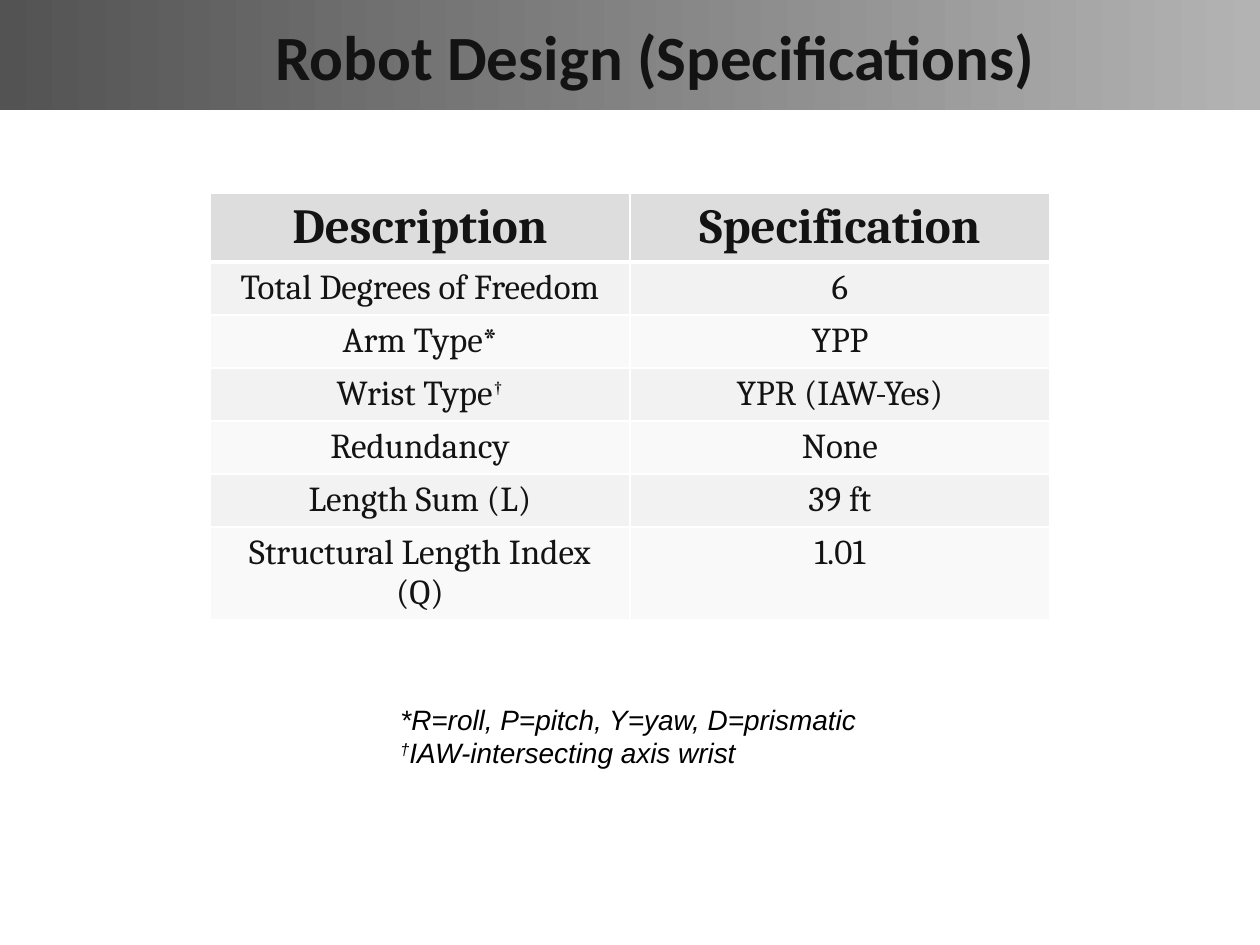
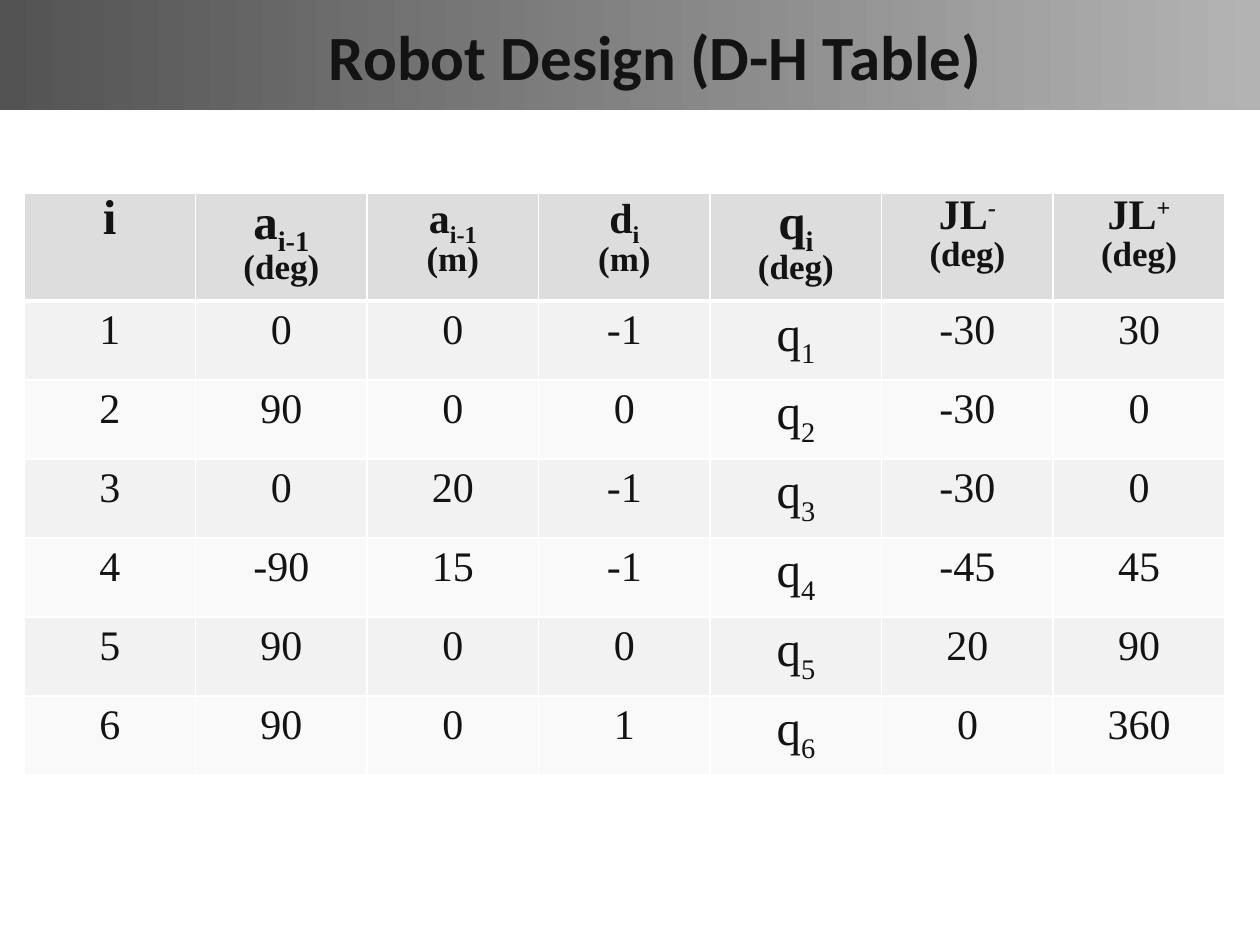
import pptx
import pptx.util
import pptx.dml.color
import pptx.enum.text
import pptx.oxml
import pptx.oxml.ns

EMU_PER_PX = 914400 / 126
COLOURS = {
    "band_start": "535353",
    "band_end": "B3B3B3",
    "ink": "131313",
    "note": "000000",
    "header": "DDDDDD",
    "odd_row": "F2F2F2",
    "even_row": "F9F9F9",
    "grid": "FFFFFF",
}
BASELINES = {"^": 30000, "_": -25000}
CENTER = pptx.enum.text.PP_ALIGN.CENTER


def px(length):
    return pptx.util.Emu(round(length * EMU_PER_PX))


def rgb(name):
    return pptx.dml.color.RGBColor.from_string(COLOURS[name])


class Deck:
    def __init__(self):
        self.presentation = pptx.Presentation()
        self.presentation.slide_width = px(1260)
        self.presentation.slide_height = px(945)
        self.slide = None

    def new_slide(self, heading):
        """Start a slide whose title fills the gradient band."""
        layout = self.presentation.slide_layouts[5]
        self.slide = self.presentation.slides.add_slide(layout)
        title = self.slide.shapes.title
        title.left, title.top, title.width, title.height = px(0), px(0), px(1260), px(110)
        title.fill.gradient()
        title.fill.gradient_angle = 0
        for stop, name in zip(title.fill.gradient_stops, ("band_start", "band_end")):
            stop.color.rgb = rgb(name)
        frame = title.text_frame
        frame.auto_size = pptx.enum.text.MSO_AUTO_SIZE.NONE
        frame.vertical_anchor = pptx.enum.text.MSO_ANCHOR.MIDDLE
        frame.margin_left = px(63)
        self.line(frame.paragraphs[0], heading, "Calibri", 36, bold=True, align=CENTER)

    def line(self, paragraph, text, font, size, colour="ink", bold=False,
             italic=False, align=None):
        """Fill one paragraph; ^ raises and _ lowers what follows it."""
        mark = next((m for m in BASELINES if m in text), None)
        base, _, script = text.partition(mark) if mark else (text, "", "")
        if base:
            paragraph.text = base
        if script:
            # A closing mark ends the raised or lowered part
            script, _, rest = script.partition(mark)
            run = paragraph.add_run()
            run.text = script
            run.font._element.set("baseline", str(BASELINES[mark]))
            if rest:
                paragraph.add_run().text = rest
        paragraph.alignment = align
        for run in paragraph.runs:
            run.font.name = font
            run.font.size = pptx.util.Pt(size)
            run.font.bold = bold
            run.font.italic = italic
            run.font.color.rgb = rgb(colour)

    def note(self, left, top, width, height, lines):
        box = self.slide.shapes.add_textbox(px(left), px(top), px(width), px(height))
        frame = box.text_frame
        frame.word_wrap = False
        frame.auto_size = pptx.enum.text.MSO_AUTO_SIZE.SHAPE_TO_FIT_TEXT
        for index, text in enumerate(lines):
            paragraph = frame.add_paragraph() if index else frame.paragraphs[0]
            self.line(paragraph, text, "Arial", 16, "note", italic=True)

    def table(self, left, top, width, row_heights, rows, font, header_sizes,
              body_sizes, unit_size=20, header_spacing=None):
        """Draw a table; header cells may hold a unit on a second line."""
        columns = len(rows[0])
        grid = self.slide.shapes.add_table(
            len(rows), columns, px(left), px(top), px(width), px(sum(row_heights))).table
        grid.horz_banding = False
        for column in grid.columns:
            column.width = px(width / columns)
        for r, (height, row) in enumerate(zip(row_heights, rows)):
            grid.rows[r].height = px(height)
            is_header = r == 0
            sizes = header_sizes if is_header else body_sizes
            fill = "header" if is_header else ("even_row", "odd_row")[r % 2]
            for c, content in enumerate(row):
                cell = grid.cell(r, c)
                frame = cell.text_frame
                for index, text in enumerate(content.split("\n")):
                    paragraph = frame.add_paragraph() if index else frame.paragraphs[0]
                    self.line(paragraph, text, font, unit_size if index else sizes[c],
                              bold=is_header, align=CENTER)
                    if is_header and header_spacing:
                        paragraph.line_spacing = header_spacing
                    if index:
                        paragraph.space_before = pptx.util.Pt(3)
                self.borders(cell, top=3 if r == 1 else 1, bottom=3 if is_header else 1)
                cell.fill.solid()
                cell.fill.fore_color.rgb = rgb(fill)

    def borders(self, cell, top, bottom):
        properties = cell._tc.get_or_add_tcPr()
        for side, points in (("L", 1), ("R", 1), ("T", top), ("B", bottom)):
            properties.append(pptx.oxml.parse_xml(
                f'<a:ln{side} {pptx.oxml.ns.nsdecls("a")} w="{points * 12700}">'
                f'<a:solidFill><a:srgbClr val="{COLOURS["grid"]}"/></a:solidFill>'
                f'</a:ln{side}>'))


def main():
    deck = Deck()

    # Specifications
    deck.new_slide("Robot Design (Specifications)")
    specifications = [
        ("Description", "Specification"),
        ("Total Degrees of Freedom", "6"),
        ("Arm Type*", "YPP"),
        ("Wrist Type^†", "YPR (IAW-Yes)"),
        ("Redundancy", "None"),
        ("Length Sum (L)", "39 ft"),
        ("Structural Length Index (Q)", "1.01"),
    ]
    deck.table(210, 193, 840, [69] + [53] * 5 + [93], specifications, "Cambria",
               header_sizes=[28] * 2, body_sizes=[20] * 2)
    deck.note(388, 696, 485, 81, ["*R=roll, P=pitch, Y=yaw, D=prismatic",
                                  "^†^IAW-intersecting axis wrist"])

    # Denavit-Hartenberg parameters
    deck.new_slide("Robot Design (D-H Table)")
    joints = [
        ("i", "a_i-1\n(deg)", "a_i-1\n(m)", "d_i\n(m)", "q_i\n(deg)",
         "JL^-\n(deg)", "JL^+\n(deg)"),
        ("1", "0", "0", "-1", "q_1", "-30", "30"),
        ("2", "90", "0", "0", "q_2", "-30", "0"),
        ("3", "0", "20", "-1", "q_3", "-30", "0"),
        ("4", "-90", "15", "-1", "q_4", "-45", "45"),
        ("5", "90", "0", "0", "q_5", "20", "90"),
        ("6", "90", "0", "1", "q_6", "0", "360"),
    ]
    deck.table(24, 193, 1201, [108] + [79] * 6, joints, "Times New Roman",
               header_sizes=[28, 28, 24, 24, 28, 24, 24],
               body_sizes=[24, 24, 24, 24, 28, 24, 24], header_spacing=0.8)

    deck.presentation.save("out.pptx")


if __name__ == "__main__":
    main()
